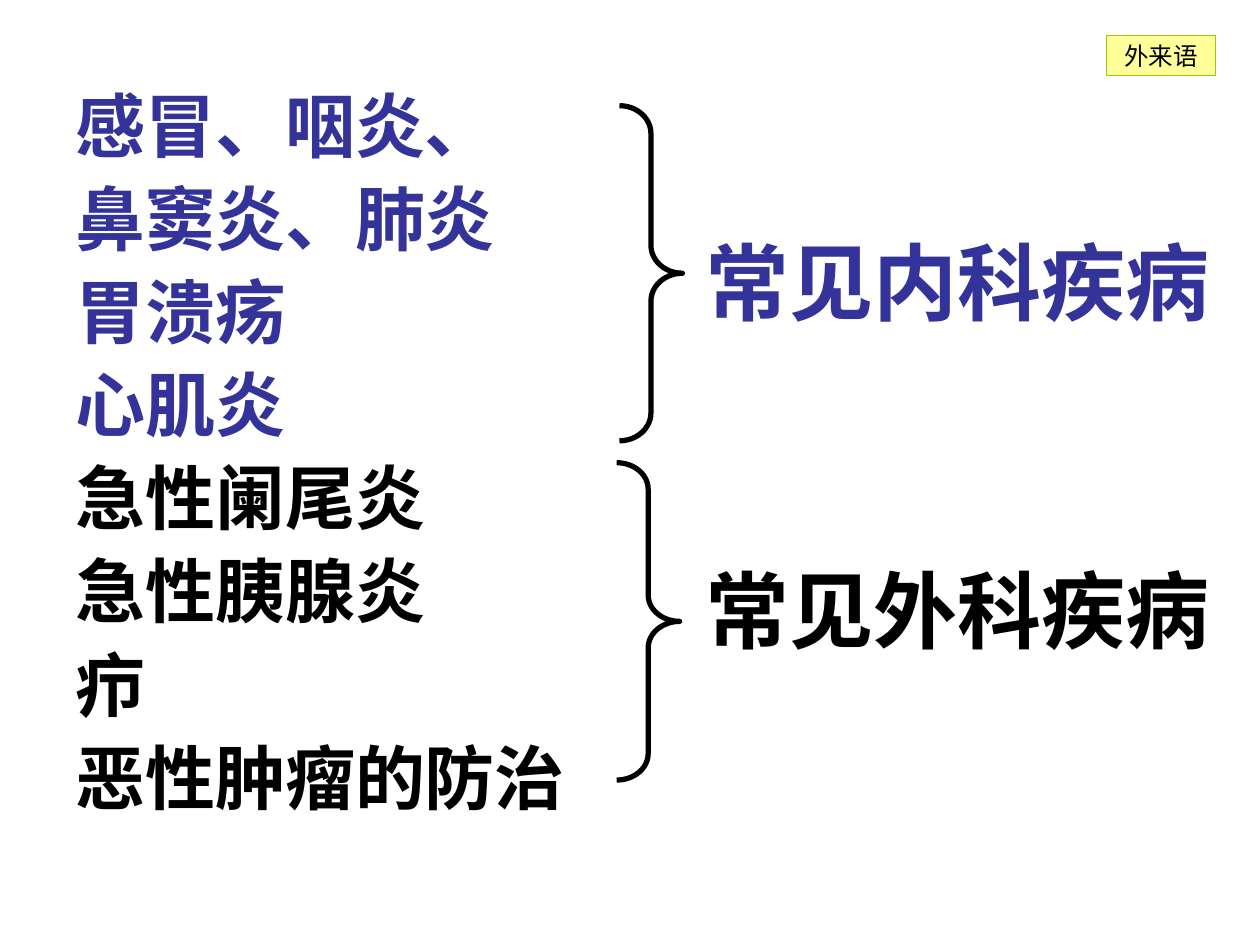
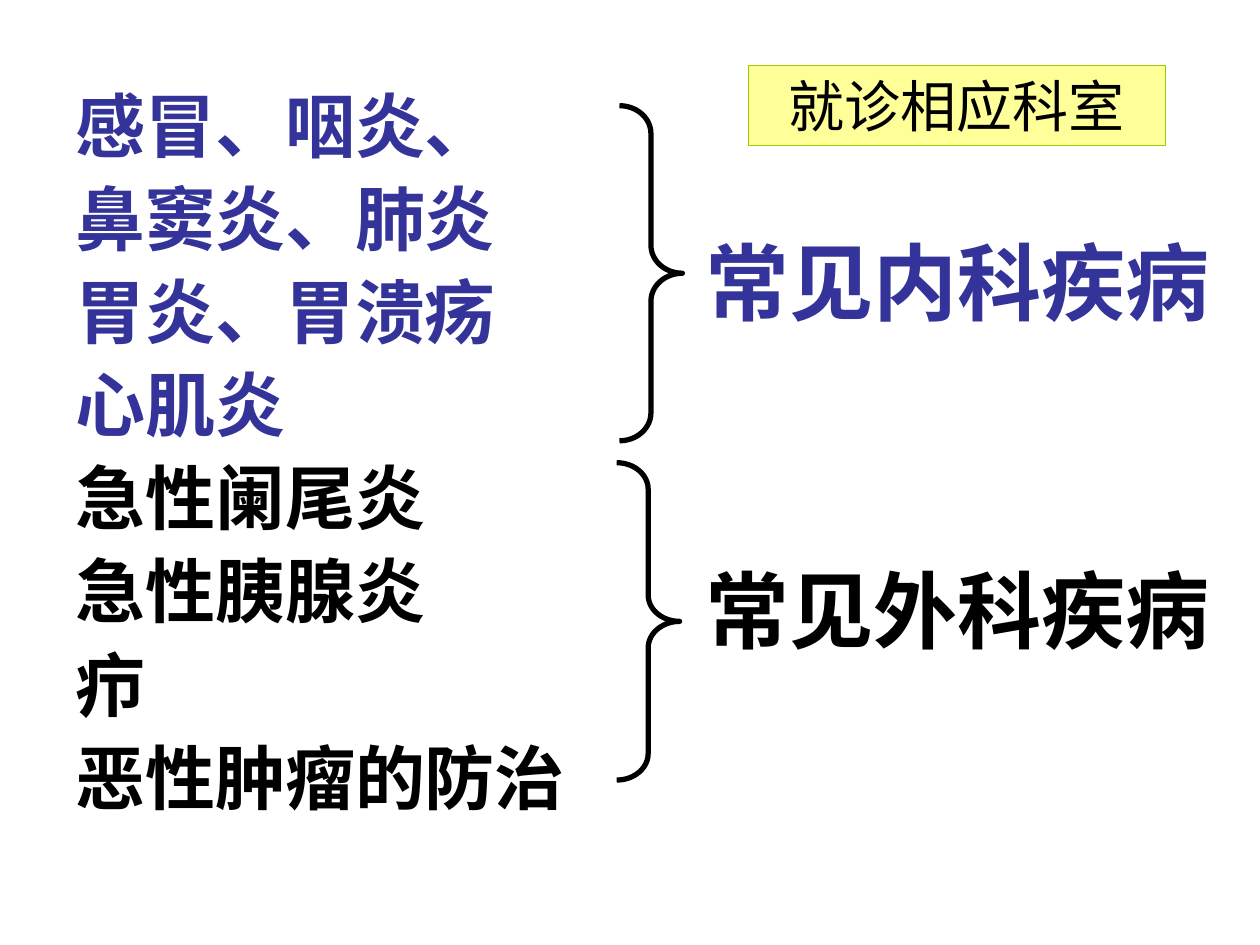
from lxml.etree import SubElement
from pptx import Presentation
from pptx.dml.color import RGBColor
from pptx.enum.shapes import MSO_SHAPE
from pptx.enum.text import MSO_ANCHOR, MSO_AUTO_SIZE, PP_ALIGN
from pptx.oxml.ns import qn
from pptx.util import Pt

INTERNAL_COLOR = "333399"
SURGICAL_COLOR = "000000"
TAG_FILL = "FFFF99"
TAG_LINE = "99CC00"
LATIN_FONT = "Cabin"
HEADING_FONT = "Noto Sans CJK JP"
EAST_ASIAN_FONT = "Cabin"

SURGICAL_DISEASES = ["急性阑尾炎", "急性胰腺炎", "疖", "恶性肿瘤的防治"]


def rgb(hex_color):
    return RGBColor.from_string(hex_color)


def points(*lengths):
    return [Pt(length) for length in lengths]


def add_run(paragraph, text, size, color, font=LATIN_FONT, bold=False):
    run = paragraph.add_run()
    run.text = text
    run.font.size = Pt(size)
    run.font.bold = bold
    run.font.color.rgb = rgb(color)
    run.font.name = font
    SubElement(run.font._element, qn("a:ea"), typeface=EAST_ASIAN_FONT)


def add_disease_list(slide, internal_diseases):
    frame = slide.shapes.add_textbox(*points(36, 49, 570, 434)).text_frame
    frame.word_wrap = True
    diseases = [(name, INTERNAL_COLOR) for name in internal_diseases]
    diseases += [(name, SURGICAL_COLOR) for name in SURGICAL_DISEASES]
    for index, (name, color) in enumerate(diseases):
        paragraph = frame.add_paragraph() if index else frame.paragraphs[0]
        properties = paragraph._p.get_or_add_pPr()
        properties.set("marL", str(Pt(27)))
        properties.set("indent", str(Pt(-27)))
        paragraph.line_spacing = 0.9
        paragraph.space_before = Pt(10 if index else 0)
        add_run(paragraph, name, 40, color, bold=True)


def add_brace(slide, left, top, height):
    brace = slide.shapes.add_shape(
        MSO_SHAPE.RIGHT_BRACE, *points(left, top, 36, height))
    brace.adjustments[0] = height / 12 / 36
    brace.shadow.inherit = False
    brace.fill.background()
    brace.line.color.rgb = rgb("000000")
    brace.line.width = Pt(3)


def add_department(slide, top, text, color):
    frame = slide.shapes.add_textbox(*points(396, top, 324, 65)).text_frame
    frame.word_wrap = True
    frame.auto_size = MSO_AUTO_SIZE.SHAPE_TO_FIT_TEXT
    add_run(frame.paragraphs[0], text, 48, color, HEADING_FONT, bold=True)


def add_tag(slide, text, size, box):
    tag = slide.shapes.add_shape(MSO_SHAPE.RECTANGLE, *points(*box))
    tag.shadow.inherit = False
    tag.fill.solid()
    tag.fill.fore_color.rgb = rgb(TAG_FILL)
    tag.line.color.rgb = rgb(TAG_LINE)
    tag.line.width = Pt(0.75)
    frame = tag.text_frame
    frame.word_wrap = False
    frame.vertical_anchor = MSO_ANCHOR.MIDDLE
    frame.paragraphs[0].alignment = PP_ALIGN.CENTER
    add_run(frame.paragraphs[0], text, size, "000000")


def add_disease_slide(deck, stomach_diseases, tag_text, tag_size, tag_box):
    slide = deck.slides.add_slide(deck.slide_layouts[6])
    add_disease_list(
        slide, ["感冒、咽炎、", "鼻窦炎、肺炎", stomach_diseases, "心肌炎"])
    add_brace(slide, 354, 60.4, 191.5)
    add_department(slide, 128, "常见内科疾病", INTERNAL_COLOR)
    add_brace(slide, 352.4, 264.4, 181.4)
    add_department(slide, 315.5, "常见外科疾病", SURGICAL_COLOR)
    add_tag(slide, tag_text, tag_size, tag_box)


def main():
    deck = Presentation()
    deck.slide_width, deck.slide_height = points(720, 540)
    add_disease_slide(deck, "胃溃疡", "外来语", 14, (632.2, 20.4, 62.4, 22.8))
    add_disease_slide(
        deck, "胃炎、胃溃疡", "就诊相应科室", 32, (427.8, 37.5, 238.2, 45.5))
    deck.save("out.pptx")


if __name__ == "__main__":
    main()
